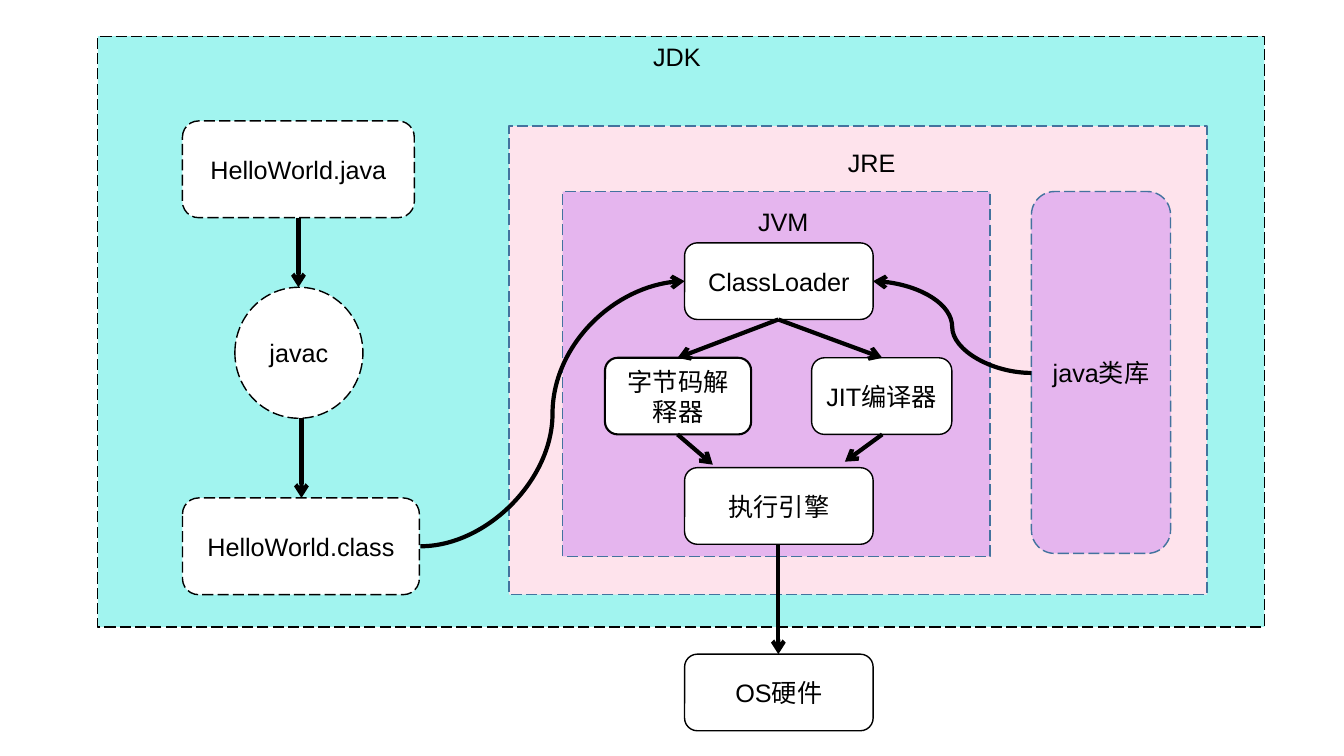
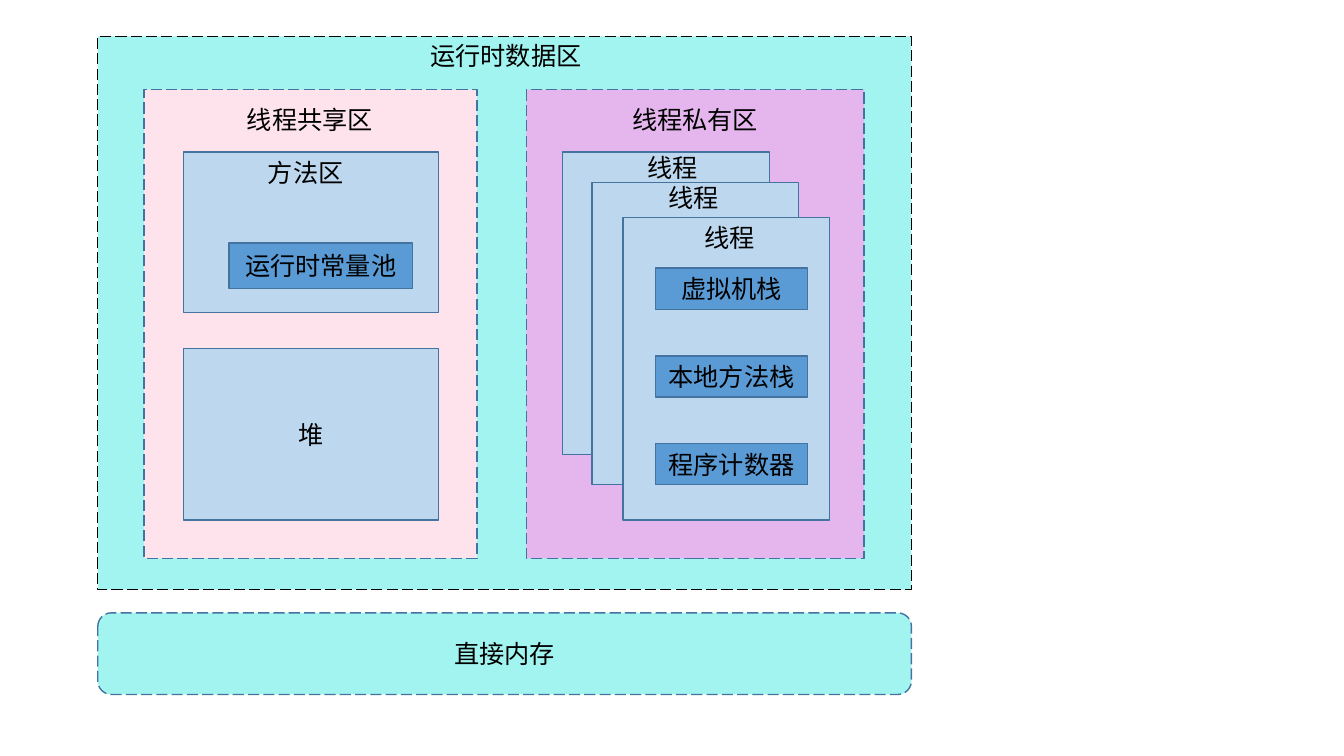
from lxml import etree
from pptx import Presentation
from pptx import util as u
from pptx.dml.color import RGBColor
from pptx.enum import dml, shapes, text
from pptx.oxml import ns

BLACK = RGBColor(0x00, 0x00, 0x00)
WHITE = RGBColor(0xFF, 0xFF, 0xFF)
AQUA = RGBColor(0xA1, 0xF4, 0xEF)
PINK = RGBColor(0xFE, 0xE3, 0xEC)
VIOLET = RGBColor(0xE5, 0xB5, 0xEE)
PALE_BLUE = RGBColor(0xBD, 0xD7, 0xEE)
BLUE = RGBColor(0x5B, 0x9B, 0xD5)
EDGE = RGBColor(0x43, 0x73, 0x9E)

RECT = shapes.MSO_SHAPE.RECTANGLE
ROUND = shapes.MSO_SHAPE.ROUNDED_RECTANGLE
OVAL = shapes.MSO_SHAPE.OVAL
STRAIGHT = shapes.MSO_CONNECTOR.STRAIGHT
CURVE = shapes.MSO_CONNECTOR.CURVE


class Diagram:
    font_name = "Arial"
    font_size = u.Pt(18)

    def __init__(self, deck):
        self.deck = deck
        self.page = None

    def new_page(self):
        self.page = self.deck.slides.add_slide(self.deck.slide_layouts[6])

    def set_words(self, frame, words, align):
        frame.word_wrap = True
        para = frame.paragraphs[0]
        para.text = words
        para.alignment = align
        para.font.name = self.font_name
        para.font.size = self.font_size
        para.font.color.rgb = BLACK

    def label(self, words, left, top, width):
        box = self.page.shapes.add_textbox(
            u.Inches(left), u.Inches(top), u.Inches(width), u.Inches(0.4))
        self.set_words(box.text_frame, words, text.PP_ALIGN.LEFT)
        box.text_frame.auto_size = text.MSO_AUTO_SIZE.SHAPE_TO_FIT_TEXT

    def box(self, left, top, width, height, fill, words="", kind=RECT,
            edge=EDGE, weight=1, dashed=False):
        box = self.page.shapes.add_shape(
            kind, u.Inches(left), u.Inches(top), u.Inches(width), u.Inches(height))
        box.shadow.inherit = False
        box.fill.solid()
        box.fill.fore_color.rgb = fill
        box.line.color.rgb = edge
        box.line.width = u.Pt(weight)
        if dashed:
            box.line.dash_style = dml.MSO_LINE.LONG_DASH
        if words:
            box.text_frame.vertical_anchor = text.MSO_ANCHOR.MIDDLE
            self.set_words(box.text_frame, words, text.PP_ALIGN.CENTER)

    def arrow(self, start, end, kind=STRAIGHT):
        arrow = self.page.shapes.add_connector(
            kind, *(u.Inches(value) for value in (*start, *end)))
        arrow.line.color.rgb = BLACK
        arrow.line.width = u.Pt(3)
        properties = arrow.element.spPr
        outline = properties.find(ns.qn("a:ln"))
        etree.SubElement(outline, ns.qn("a:tailEnd")).set("type", "arrow")
        etree.SubElement(properties, ns.qn("a:effectLst"))


def draw_jdk(diagram):
    diagram.new_page()
    diagram.box(0.97, 0.36, 11.57, 5.86, AQUA, edge=BLACK, dashed=True)
    diagram.label("JDK", 6.38, 0.36, 0.76)
    diagram.box(5.05, 1.25, 6.92, 4.65, PINK, dashed=True)
    diagram.label("JRE", 8.31, 1.41, 0.92)
    diagram.box(5.58, 1.9, 4.24, 3.62, VIOLET, dashed=True)
    diagram.label("JVM", 7.42, 2, 0.89)
    diagram.box(10.23, 1.9, 1.38, 3.59, VIOLET, "java类库", ROUND, dashed=True)

    for words, kind, left, top, width, height in (
            ("HelloWorld.java", ROUND, 1.81, 1.2, 2.3, 0.96),
            ("javac", OVAL, 2.33, 2.85, 1.27, 1.3),
            ("HelloWorld.class", ROUND, 1.81, 4.94, 2.35, 0.96)):
        diagram.box(left, top, width, height, WHITE, words, kind, BLACK, dashed=True)

    for words, left, top, width, weight in (
            ("ClassLoader", 6.79, 2.41, 1.87, 1),
            ("字节码解释器", 6, 3.55, 1.45, 1.5),
            ("JIT编译器", 8.05, 3.55, 1.39, 1),
            ("执行引擎", 6.79, 4.64, 1.87, 1),
            ("OS硬件", 6.79, 6.49, 1.87, 1)):
        diagram.box(left, top, width, 0.76, WHITE, words, ROUND, BLACK, weight)

    for start, end in (
            ((2.96, 2.16), (2.96, 2.85)),
            ((2.99, 4.15), (2.99, 4.94)),
            ((7.72, 3.17), (6.72, 3.55)),
            ((7.72, 3.17), (8.75, 3.55)),
            ((6.72, 4.31), (7.07, 4.61)),
            ((8.75, 4.31), (8.38, 4.58)),
            ((7.72, 5.4), (7.72, 6.49))):
        diagram.arrow(start, end)
    diagram.arrow((4.17, 5.42), (6.79, 2.79), CURVE)
    diagram.arrow((10.23, 3.7), (8.66, 2.79), CURVE)


def draw_runtime_memory(diagram):
    diagram.new_page()
    diagram.box(0.97, 0.36, 8.07, 5.49, AQUA, edge=BLACK, dashed=True)
    diagram.label("运行时数据区", 4.17, 0.35, 1.93)
    diagram.box(1.43, 0.89, 3.3, 4.65, PINK, dashed=True)
    diagram.label("线程共享区", 2.35, 0.99, 1.47)
    diagram.box(5.22, 0.89, 3.35, 4.65, VIOLET, dashed=True)
    diagram.label("线程私有区", 6.17, 0.99, 1.62)
    diagram.box(0.97, 6.08, 8.07, 0.81, AQUA, "直接内存", ROUND, dashed=True)

    diagram.box(1.82, 1.51, 2.53, 1.59, PALE_BLUE)
    diagram.label("方法区", 2.56, 1.51, 1.04)
    diagram.box(2.27, 2.41, 1.82, 0.45, BLUE, "运行时常量池")
    diagram.box(1.82, 3.46, 2.53, 1.7, PALE_BLUE, "堆")

    for left, top, label_left, label_top in (
            (5.58, 1.51, 6.32, 1.46),
            (5.87, 1.81, 6.53, 1.76),
            (6.18, 2.16, 6.89, 2.16)):
        diagram.box(left, top, 2.05, 3, PALE_BLUE)
        diagram.label("线程", label_left, label_top, 0.88)
    for row, words in enumerate(("虚拟机栈", "本地方法栈", "程序计数器")):
        diagram.box(6.5, 2.66 + 0.87 * row, 1.51, 0.41, BLUE, words)


deck = Presentation()
deck.slide_width = u.Inches(13.33)
deck.slide_height = u.Inches(7.5)
diagram = Diagram(deck)
draw_jdk(diagram)
draw_runtime_memory(diagram)
deck.save("out.pptx")
